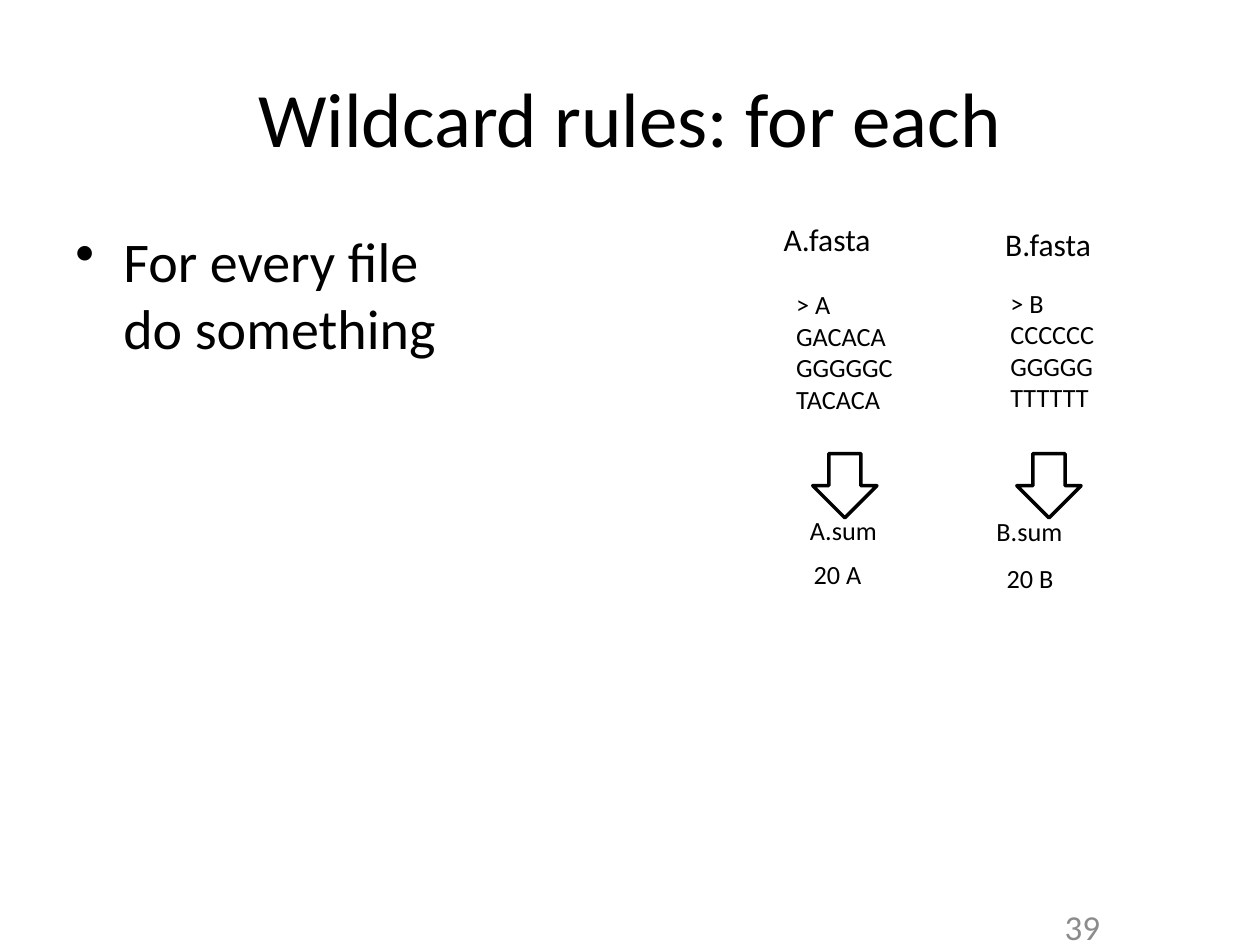
import pptx
import pptx.util
import pptx.dml.color
import pptx.enum.shapes
import pptx.enum.text
import pptx.oxml.ns
import lxml.etree

Inches = pptx.util.Inches
Pt = pptx.util.Pt
Color = pptx.dml.color.RGBColor.from_string
Align = pptx.enum.text.PP_ALIGN
Anchor = pptx.enum.text.MSO_ANCHOR

theme = {
    "font": "Calibri", "ink": "000000", "paper": "FFFFFF", "muted": "8C8C8C",
    "title": 44, "body": 32, "number": 20, "file": 18, "content": 15,
}

deck = pptx.Presentation()
deck.slide_width, deck.slide_height = Inches(10), Inches(7.5)
slide = deck.slides.add_slide(deck.slide_layouts[6])


def add_text(lines, box, size, color="ink", align=Align.LEFT, anchor=Anchor.TOP, wrap=True, bullet=None):
    frame = slide.shapes.add_textbox(*map(Inches, box)).text_frame
    frame.text = lines
    frame_format = {"word_wrap": wrap, "vertical_anchor": anchor}
    for name, value in frame_format.items():
        setattr(frame, name, value)
    font_format = {"name": theme["font"], "size": Pt(theme[size])}
    for paragraph in frame.paragraphs:
        paragraph.alignment = align
        if bullet:
            properties = paragraph._p.get_or_add_pPr()
            properties.set("marL", str(Inches(0.38)))
            properties.set("indent", str(-Inches(0.38)))
            mark = lxml.etree.SubElement(properties, pptx.oxml.ns.qn("a:buChar"))
            mark.set("char", bullet)
        for run in paragraph.runs:
            for name, value in font_format.items():
                setattr(run.font, name, value)
            run.font.color.rgb = Color(theme[color])


add_text("Wildcard rules: for each", (0.5, 0.3, 9, 1.25), "title",
         align=Align.CENTER, anchor=Anchor.MIDDLE)
add_text("For every file\vdo something", (0.5, 1.75, 4.55, 4.86), "body", bullet="•")

samples = [
    {
        "arrow_left": 6.45,
        "labels": [
            ("A.fasta", (6.12, 1.7, 0.95, 0.4), "file"),
            ("> A\nGACACA\nGGGGGC\nTACACA", (6.22, 2.24, 0.97, 1.62), "content"),
            ("A.sum", (6.33, 4.03, 0.76, 0.35), "content"),
            ("20 A", (6.36, 4.38, 0.6, 0.61), "content"),
        ],
    },
    {
        "arrow_left": 8.07,
        "labels": [
            ("B.fasta", (7.88, 1.74, 0.94, 0.4), "file"),
            ("> B\nCCCCCC\nGGGGG\nTTTTTT", (7.92, 2.23, 0.9, 1.62), "content"),
            ("B.sum", (7.81, 4.04, 0.75, 0.35), "content"),
            ("20 B", (7.89, 4.41, 0.58, 0.61), "content"),
        ],
    },
]

for sample in samples:
    arrow = slide.shapes.add_shape(
        pptx.enum.shapes.MSO_SHAPE.RIGHT_ARROW,
        Inches(sample["arrow_left"]), Inches(3.6), Inches(0.51), Inches(0.51))
    arrow.rotation = 90
    arrow.shadow.inherit = False
    arrow.fill.solid()
    arrow.fill.fore_color.rgb = Color(theme["paper"])
    arrow.line.color.rgb = Color(theme["ink"])
    arrow.line.width = Pt(2)
    for words, box, size in sample["labels"]:
        add_text(words, box, size, wrap=False)

add_text("39", (8.28, 7.08, 0.55, 0.54), "number", color="muted",
         align=Align.RIGHT, anchor=Anchor.MIDDLE)

deck.save("out.pptx")
